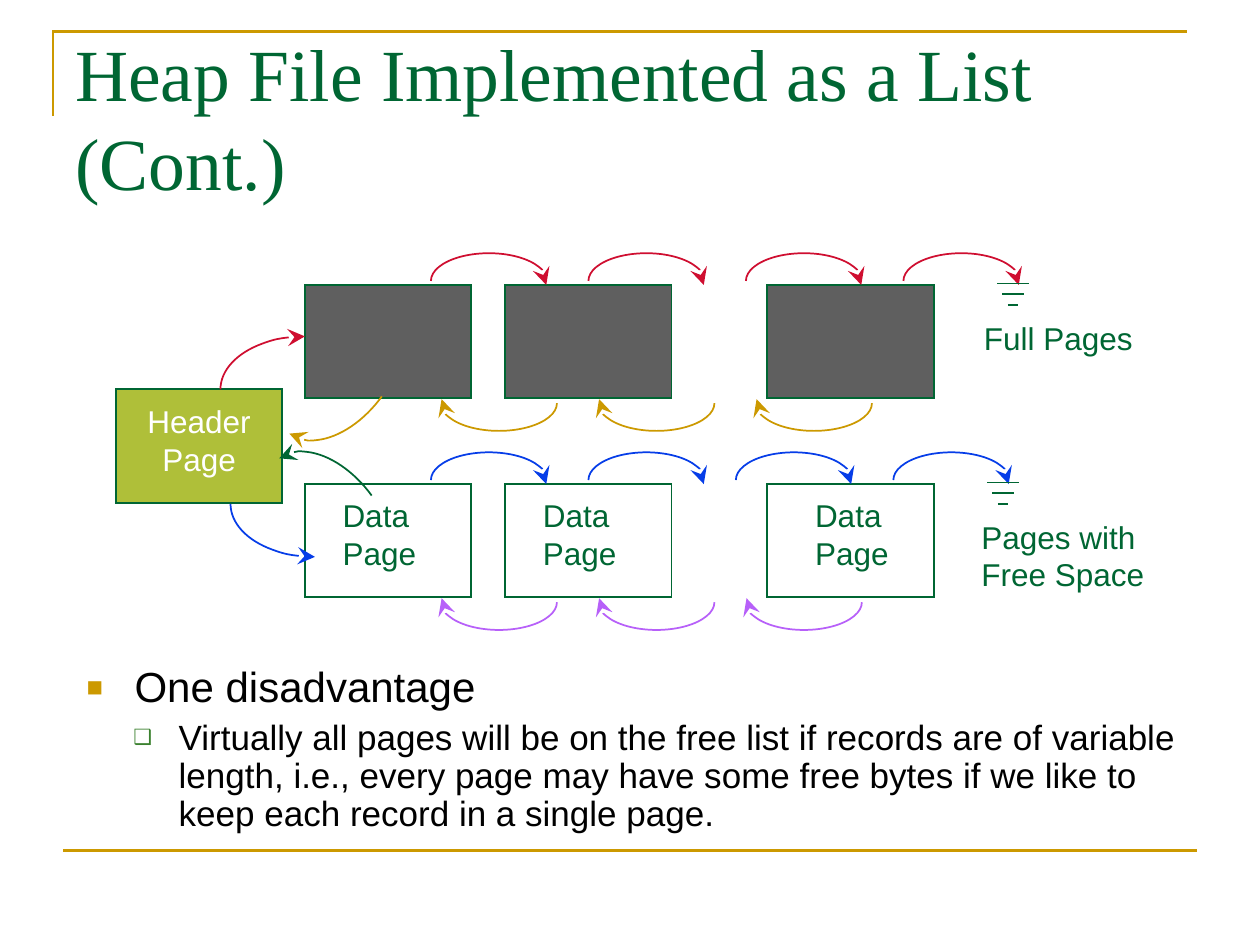
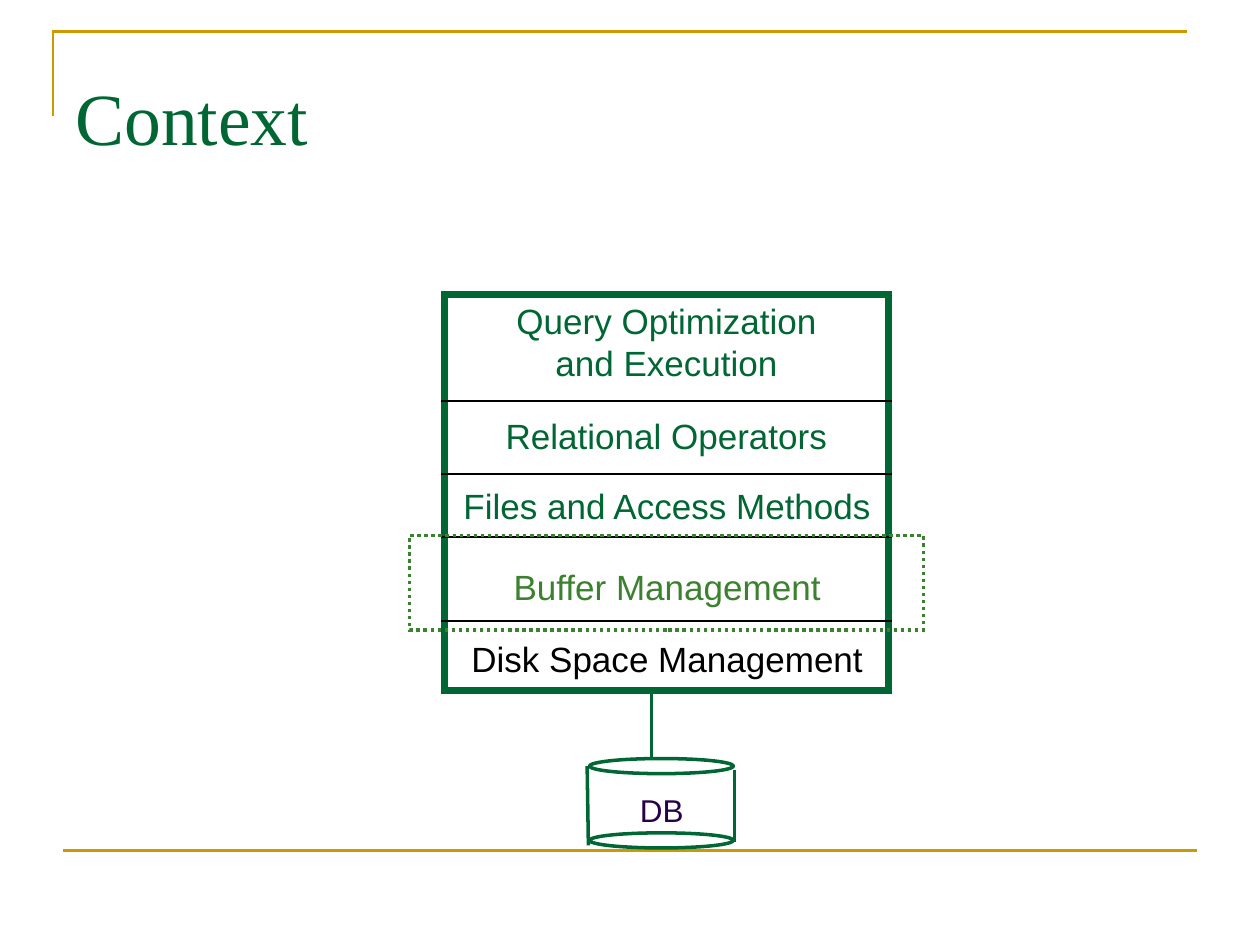
from dataclasses import dataclass

from lxml import etree
from pptx import Presentation
from pptx.dml.color import RGBColor
from pptx.enum.dml import MSO_LINE
from pptx.enum.shapes import MSO_CONNECTOR, MSO_SHAPE
from pptx.enum.text import MSO_ANCHOR, PP_ALIGN
from pptx.oxml.ns import qn
from pptx.util import Inches, Pt

RECTANGLE, OVAL, ARC = MSO_SHAPE.RECTANGLE, MSO_SHAPE.OVAL, MSO_SHAPE.ARC
STRAIGHT = MSO_CONNECTOR.STRAIGHT
DOTTED = MSO_LINE.ROUND_DOT
MIDDLE, TOP = MSO_ANCHOR.MIDDLE, MSO_ANCHOR.TOP
LEFT, CENTER = PP_ALIGN.LEFT, PP_ALIGN.CENTER


@dataclass(frozen=True)
class Theme:
    green: RGBColor = RGBColor(0x00, 0x66, 0x33)
    leaf: RGBColor = RGBColor(0x3B, 0x81, 0x2F)
    gold: RGBColor = RGBColor(0xCC, 0x99, 0x00)
    olive: RGBColor = RGBColor(0xAF, 0xBF, 0x39)
    gray: RGBColor = RGBColor(0x5F, 0x5F, 0x5F)
    red: RGBColor = RGBColor(0xCF, 0x0E, 0x30)
    blue: RGBColor = RGBColor(0x06, 0x3D, 0xE8)
    violet: RGBColor = RGBColor(0xB7, 0x60, 0xF9)
    purple: RGBColor = RGBColor(0x28, 0x00, 0x49)
    black: RGBColor = RGBColor(0x00, 0x00, 0x00)
    white: RGBColor = RGBColor(0xFF, 0xFF, 0xFF)
    title_font: str = "Times New Roman"
    body_font: str = "Arial"
    title_size: int = 42
    point_size: int = 24
    layer_size: int = 20
    label_size: int = 18


THEME = Theme()
PAGE_W, PAGE_H = 1.32, 0.9
PAGE_LEFTS = (2.42, 4.01, 6.09)
POINTER_RADII = (0.46, 0.22)
HEADER_RADII = (0.67, 0.42)


# Basic elements
def style_line(item, color, width):
    item.line.color.rgb = color
    item.line.width = Pt(width)


def add_to_line(shape, tag, **attributes):
    etree.SubElement(shape.element.spPr.find(qn("a:ln")), qn(tag), **attributes)


def add_line(slide, start, end, color=THEME.green, width=1):
    line = slide.shapes.add_connector(STRAIGHT, *map(Inches, start + end))
    style_line(line, color, width)
    etree.SubElement(line.element.spPr, qn("a:effectLst"))


def add_box(slide, kind, box, color=THEME.green, width=1, fill=None):
    shape = slide.shapes.add_shape(kind, *map(Inches, box))
    if fill is None:
        shape.fill.background()
    else:
        shape.fill.solid()
        shape.fill.fore_color.rgb = fill
    style_line(shape, color, width)
    if kind == RECTANGLE:
        add_to_line(shape, "a:miter", lim="800000")
    shape.shadow.inherit = False
    return shape


def add_arc_arrow(slide, center, radii, start, end, color,
                  rotation=0, arrow="a:tailEnd"):
    (x, y), (rx, ry) = center, radii
    arc = add_box(slide, ARC, (x - rx, y - ry, 2 * rx, 2 * ry), color)
    # One adjustment unit is 5/3 of a degree
    arc.adjustments[0], arc.adjustments[1] = start * 0.6, end * 0.6
    arc.rotation = rotation
    add_to_line(arc, arrow, type="stealth", w="lg", len="lg")


def add_text(slide, box, lines, size=THEME.label_size, color=THEME.green,
             align=LEFT, font=THEME.body_font, wrap=False, anchor=TOP):
    frame = slide.shapes.add_textbox(*map(Inches, box)).text_frame
    frame.word_wrap = wrap
    frame.vertical_anchor = anchor
    frame.text = "\n".join(lines)
    for paragraph in frame.paragraphs:
        paragraph.alignment = align
        paragraph.font.name = font
        paragraph.font.size = Pt(size)
        paragraph.font.color.rgb = color
    return frame


def set_bullet(paragraph, char, color, percent, margin, indent):
    props = paragraph._p.get_or_add_pPr()
    props.set("marL", str(Inches(margin)))
    props.set("indent", str(Inches(indent)))
    bullet_color = etree.SubElement(props, qn("a:buClr"))
    etree.SubElement(bullet_color, qn("a:srgbClr"), val=str(color))
    etree.SubElement(props, qn("a:buSzPct"), val=str(percent * 1000))
    etree.SubElement(props, qn("a:buFont"), typeface=THEME.body_font)
    etree.SubElement(props, qn("a:buChar"), char=char)


# Shared slide frame
def add_corner_rule(slide):
    builder = slide.shapes.build_freeform(Inches(0.42), Inches(0.92))
    builder.add_line_segments([(Inches(0.42), Inches(0.25)),
                               (Inches(9.42), Inches(0.25))], close=False)
    rule = builder.convert_to_shape()
    rule.fill.background()
    style_line(rule, THEME.gold, 1.5)
    add_to_line(rule, "a:miter", lim="800000")
    rule.shadow.inherit = False


def add_framed_slide(prs, title):
    slide = prs.slides.add_slide(prs.slide_layouts[6])
    add_corner_rule(slide)
    add_line(slide, (0.5, 6.75), (9.5, 6.75), THEME.gold, 1.5)
    add_text(slide, (0.5, 0.3, 9, 1.25), [title], THEME.title_size,
             font=THEME.title_font, wrap=True, anchor=MIDDLE)
    return slide


# Heap file parts
def add_page_list(slide, top, fill, next_lefts, next_color, back_color):
    for left in PAGE_LEFTS:
        add_box(slide, RECTANGLE, (left, top, PAGE_W, PAGE_H), fill=fill)
    for left in next_lefts:
        add_arc_arrow(slide, (left + 0.46, top - 0.03), POINTER_RADII,
                      180, 4, next_color)
    for left in next_lefts[:-1]:
        add_arc_arrow(slide, (left + 0.54, top + 0.94), POINTER_RADII,
                      0, 184, back_color)
    # End-of-list mark under the last pointer
    end_x = next_lefts[-1] + 0.87
    for i, width in enumerate((0.25, 0.17, 0.08)):
        y = top - 0.01 + i * 0.085
        add_line(slide, (end_x - width / 2, y), (end_x + width / 2, y))


def add_heap_slide(prs):
    slide = add_framed_slide(prs, "Heap File Implemented as a List (Cont.)")

    # Disadvantage
    notes = add_text(slide, (0.59, 5.24, 8.9, 1.51), [
        "One disadvantage",
        "Virtually all pages will be on the free list if records are of variable "
        "length, i.e., every page may have some free bytes if we like to keep "
        "each record in a single page.",
    ], THEME.point_size, THEME.black, wrap=True)
    point, detail = notes.paragraphs
    point.space_before, detail.space_before = Pt(6), Pt(5)
    point.line_spacing = detail.line_spacing = 0.9
    detail.level = 1
    detail.font.size = Pt(THEME.layer_size)
    set_bullet(point, "■", THEME.gold, 65, 0.38, -0.38)
    set_bullet(detail, "❑", THEME.leaf, 60, 0.73, -0.36)

    # Page lists
    add_page_list(slide, 2.26, THEME.gray, (3.42, 4.67, 5.92, 7.17),
                  THEME.red, THEME.gold)
    add_page_list(slide, 3.84, None, (3.42, 4.67, 5.84, 7.09),
                  THEME.blue, THEME.violet)
    for left in (2.62, 4.21, 6.37):
        add_text(slide, (left, 3.89, 0.79, 0.7), ["Data", "Page"])
    add_text(slide, (7.71, 2.48, 1.38, 0.4), ["Full Pages"])
    add_text(slide, (7.69, 4.06, 1.49, 0.7), ["Pages with", "Free Space"])

    # Header page and its links
    add_box(slide, RECTANGLE, (0.92, 3.09, PAGE_W, PAGE_H), fill=THEME.olive)
    add_text(slide, (1.07, 3.14, 1.02, 0.7), ["Header", "Page"],
             color=THEME.white, align=CENTER)
    header_links = (
        ((2.42, 3.09), 180, 270, THEME.red, 0, "a:tailEnd"),
        ((2.69, 2.9), 270, 0, THEME.gold, 126, "a:tailEnd"),
        ((2.61, 4.18), 180, 270, THEME.green, 54, "a:headEnd"),
        ((2.5, 4), 90, 180, THEME.blue, 0, "a:headEnd"),
    )
    for center, *link in header_links:
        add_arc_arrow(slide, center, HEADER_RADII, *link)


# Database layers
def add_context_slide(prs):
    slide = add_framed_slide(prs, "Context")
    layers = (
        (4, 2.33, 2.58, 0.77, ["Query Optimization", "and Execution"], THEME.green),
        (3.91, 3.24, 2.76, 0.43, ["Relational Operators"], THEME.green),
        (3.57, 3.8, 3.45, 0.43, ["Files and Access Methods"], THEME.green),
        (3.97, 4.44, 2.65, 0.43, ["Buffer Management"], THEME.leaf),
        (3.64, 5.01, 3.31, 0.43, ["Disk Space Management"], THEME.black),
    )
    for *box, lines, color in layers:
        add_text(slide, box, lines, THEME.layer_size, color, CENTER)
    add_box(slide, RECTANGLE, (3.53, 2.34, 3.52, 3.14), width=4)
    for y in (3.18, 3.76, 4.26, 4.93):
        add_line(slide, (3.5, y), (7.08, y), THEME.black)

    # Database drum
    for top in (6.02, 6.61):
        add_box(slide, OVAL, (4.68, top, 1.14, 0.12), width=2)
    for start, end in (((4.66, 6.08), (4.67, 6.71)),
                       ((5.83, 6.11), (5.83, 6.68)),
                       ((5.17, 5.51), (5.17, 6.01))):
        add_line(slide, start, end, width=2)
    add_text(slide, (4.98, 6.23, 0.55, 0.4), ["DB"], color=THEME.purple)

    # Current topic
    focus = add_box(slide, RECTANGLE, (3.25, 4.25, 4.08, 0.75), THEME.leaf, 2)
    focus.line.dash_style = DOTTED


def main():
    prs = Presentation()
    prs.slide_width, prs.slide_height = Inches(10), Inches(7.5)
    add_heap_slide(prs)
    add_context_slide(prs)
    prs.save("out.pptx")


if __name__ == "__main__":
    main()
